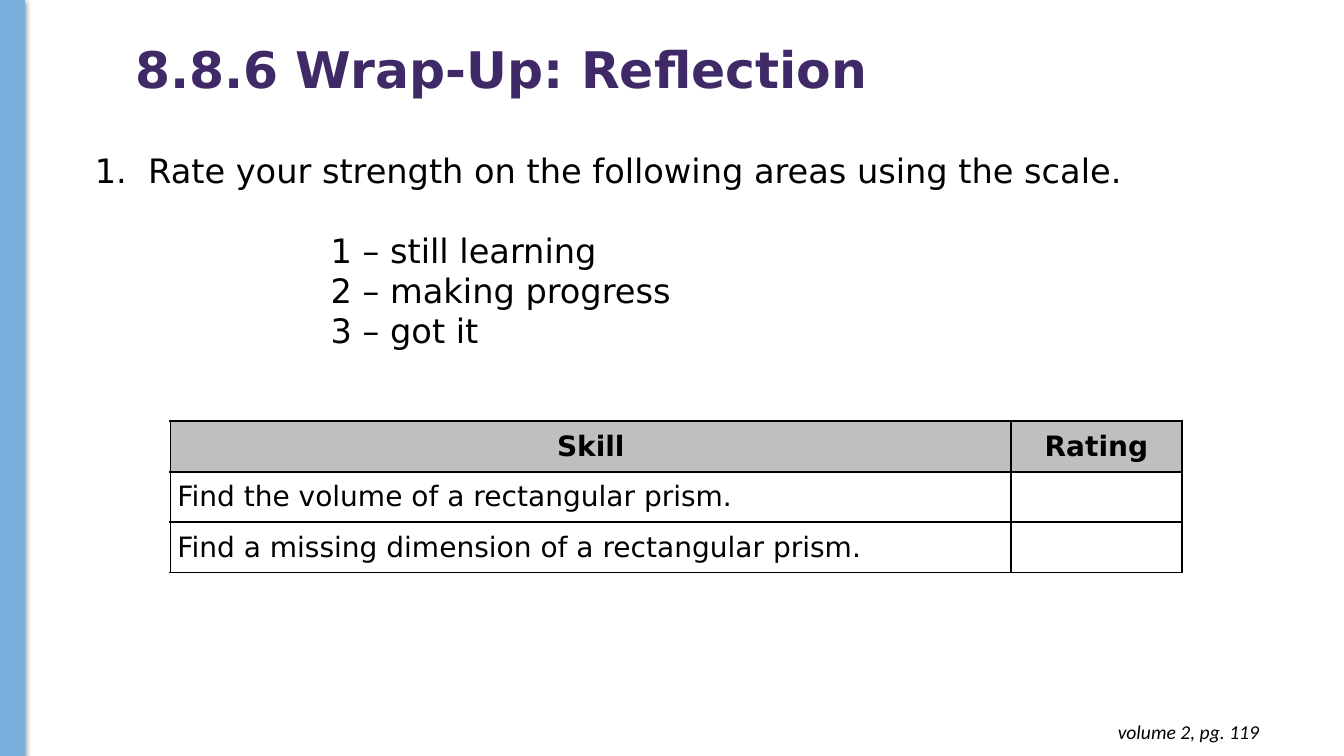
import pptx
import pptx.dml.color
import pptx.enum.shapes
import pptx.enum.text
import pptx.oxml
import pptx.oxml.ns
import pptx.util

SLIDE_W, SLIDE_H = pptx.util.Inches(13.33), pptx.util.Inches(7.5)
COLORS = {"ink": "000000", "title": "3F2A67", "sidebar": "79B0DD",
          "header": "BFBFBF", "paper": "FFFFFF"}
FORMATS = {
    "title": {"size": pptx.util.Pt(36), "bold": True, "name": "DejaVu Sans"},
    "body": {"size": pptx.util.Pt(24), "name": "DejaVu Sans"},
    "header": {"size": pptx.util.Pt(20), "bold": True, "name": "DejaVu Sans"},
    "skill": {"size": pptx.util.Pt(20), "bold": False, "name": "DejaVu Sans"},
    "source": {"size": pptx.util.Pt(14), "italic": True, "name": "Calibri"},
}
ALIGN = pptx.enum.text.PP_ALIGN
MIDDLE = pptx.enum.text.MSO_ANCHOR.MIDDLE
DRAWING_NS = pptx.oxml.ns.nsdecls("a")


def rgb(color):
    return pptx.dml.color.RGBColor.from_string(COLORS[color])


def area(left, top, width, height):
    """Turn percentages of the slide into a position and a size."""
    return [int(side * share / 100) for side, share in
            zip((SLIDE_W, SLIDE_H) * 2, (left, top, width, height))]


def place(shape, box):
    for side, length in zip(("left", "top", "width", "height"), box):
        setattr(shape, side, length)


def set_margins(holder, horizontal, vertical):
    for side in ("left", "right"):
        setattr(holder, f"margin_{side}", pptx.util.Inches(horizontal))
    for side in ("top", "bottom"):
        setattr(holder, f"margin_{side}", pptx.util.Inches(vertical))


def write(paragraph, text, style, color="ink", align=ALIGN.LEFT):
    paragraph.alignment = align
    words = paragraph.add_run()
    words.text = text
    for key, value in FORMATS[style].items():
        setattr(words.font, key, value)
    words.font.color.rgb = rgb(color)


def add_xml(parent, markup):
    tag, rest = markup[1:].split(" ", 1)
    parent.append(pptx.oxml.parse_xml(f"<{tag} {DRAWING_NS} {rest}"))


def add_sidebar(slide):
    sidebar = slide.shapes.add_shape(
        pptx.enum.shapes.MSO_SHAPE.RECTANGLE, *area(0, 0, 1.8, 100))
    sidebar.fill.solid()
    sidebar.fill.fore_color.rgb = rgb("sidebar")
    sidebar.line.color.rgb = rgb("sidebar")
    sidebar.line.width = pptx.util.Pt(0.75)
    sidebar.shadow.inherit = False
    effects = sidebar._element.spPr.find(pptx.oxml.ns.qn("a:effectLst"))
    add_xml(effects, f'<a:outerShdw blurRad="{pptx.util.Pt(4.5)}" '
            f'dist="{pptx.util.Pt(1.5)}" dir="5400000" rotWithShape="0">'
            f'<a:srgbClr val="{COLORS["ink"]}"><a:alpha val="50000"/>'
            '</a:srgbClr></a:outerShdw>')


def fill_title(title, text):
    place(title, area(9.3, -0.13, 65.8, 19.33))
    title.text_frame.vertical_anchor = MIDDLE
    title.text_frame.auto_size = pptx.enum.text.MSO_AUTO_SIZE.NONE
    heading = title.text_frame.paragraphs[0]
    heading.line_spacing = 0.9
    write(heading, text, "title", "title")


def fill_body(body, question, scale):
    place(body, area(6.3, 19.2, 87.55, 28.27))
    frame = body.text_frame
    frame.auto_size = pptx.enum.text.MSO_AUTO_SIZE.NONE
    frame.vertical_anchor = pptx.enum.text.MSO_ANCHOR.TOP
    for number, text in enumerate([question] + scale):
        line = frame.add_paragraph() if number else frame.paragraphs[0]
        # The scale starts one line below the question
        line.space_before = pptx.util.Pt(28 if number == 1 else 0)
        margin, indent = (0, 2.34) if number else (0.53, -0.53)
        properties = line._p.get_or_add_pPr()
        properties.set("marL", str(pptx.util.Inches(margin)))
        properties.set("indent", str(pptx.util.Inches(indent)))
        if number:
            add_xml(properties, "<a:buNone />")
        else:
            add_xml(properties, '<a:buFont typeface="+mj-lt"/>')
            add_xml(properties, '<a:buAutoNum type="arabicPeriod"/>')
        write(line, text, "body")


def format_cell(cell, fill):
    set_margins(cell, 0.07, 0)
    cell.vertical_anchor = MIDDLE
    for side in "LRTB":
        add_xml(cell._tc.get_or_add_tcPr(),
                f'<a:ln{side} w="{pptx.util.Pt(1.5)}"><a:solidFill>'
                f'<a:srgbClr val="{COLORS["ink"]}"/></a:solidFill></a:ln{side}>')
    cell.fill.solid()
    cell.fill.fore_color.rgb = rgb(fill)


def add_rating_table(slide, rows):
    table = slide.shapes.add_table(
        len(rows), 2, *area(12.68, 55.73, 75.24, 20)).table
    table.first_row = table.horz_banding = False
    for column, width in zip(table.columns, (8.34, 1.69)):
        column.width = pptx.util.Inches(width)
    for row, texts in enumerate(rows):
        for column, text in enumerate(texts):
            cell = table.cell(row, column)
            format_cell(cell, "paper" if row else "header")
            if text:
                write(cell.text_frame.paragraphs[0], text,
                      "skill" if row else "header",
                      align=ALIGN.LEFT if row else ALIGN.CENTER)


def add_source(slide, text):
    source = slide.shapes.add_textbox(*area(72.84, 93.87, 21.6, 5.87))
    source.text_frame.word_wrap = True
    set_margins(source.text_frame, 0.1, 0.1)
    write(source.text_frame.paragraphs[0], text, "source", align=ALIGN.RIGHT)


def main():
    deck = pptx.Presentation()
    deck.slide_width, deck.slide_height = SLIDE_W, SLIDE_H
    slide = deck.slides.add_slide(deck.slide_layouts[1])

    # Coloured edge and heading
    add_sidebar(slide)
    fill_title(slide.shapes.title, "8.8.6 Wrap-Up: Reflection")

    # Question with its rating scale
    fill_body(slide.placeholders[1],
              "Rate your strength on the following areas using the scale.",
              ["1 – still learning", "2 – making progress", "3 – got it"])

    # Skills to rate
    add_rating_table(slide, [
        ("Skill", "Rating"),
        ("Find the volume of a rectangular prism.", ""),
        ("Find a missing dimension of a rectangular prism.", "")])

    # Page reference
    add_source(slide, "volume 2, pg. 119")
    deck.save("out.pptx")


if __name__ == "__main__":
    main()
